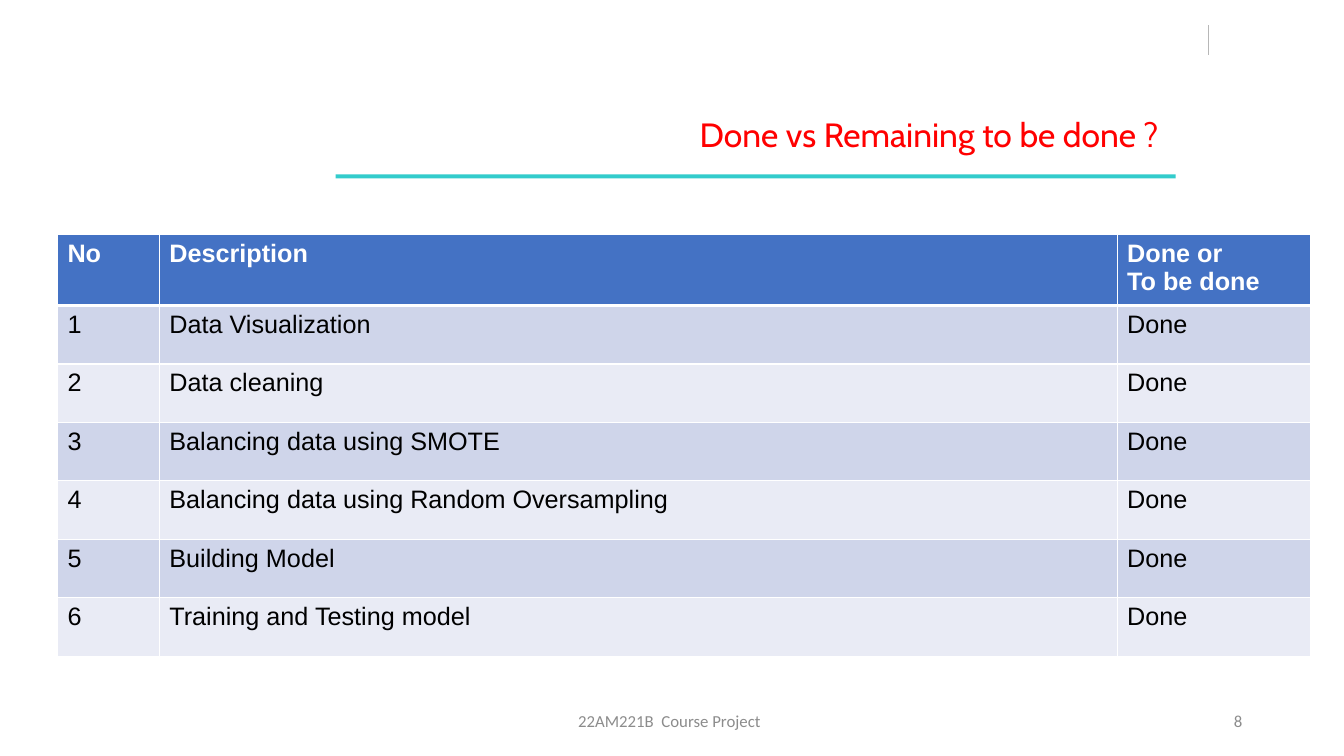
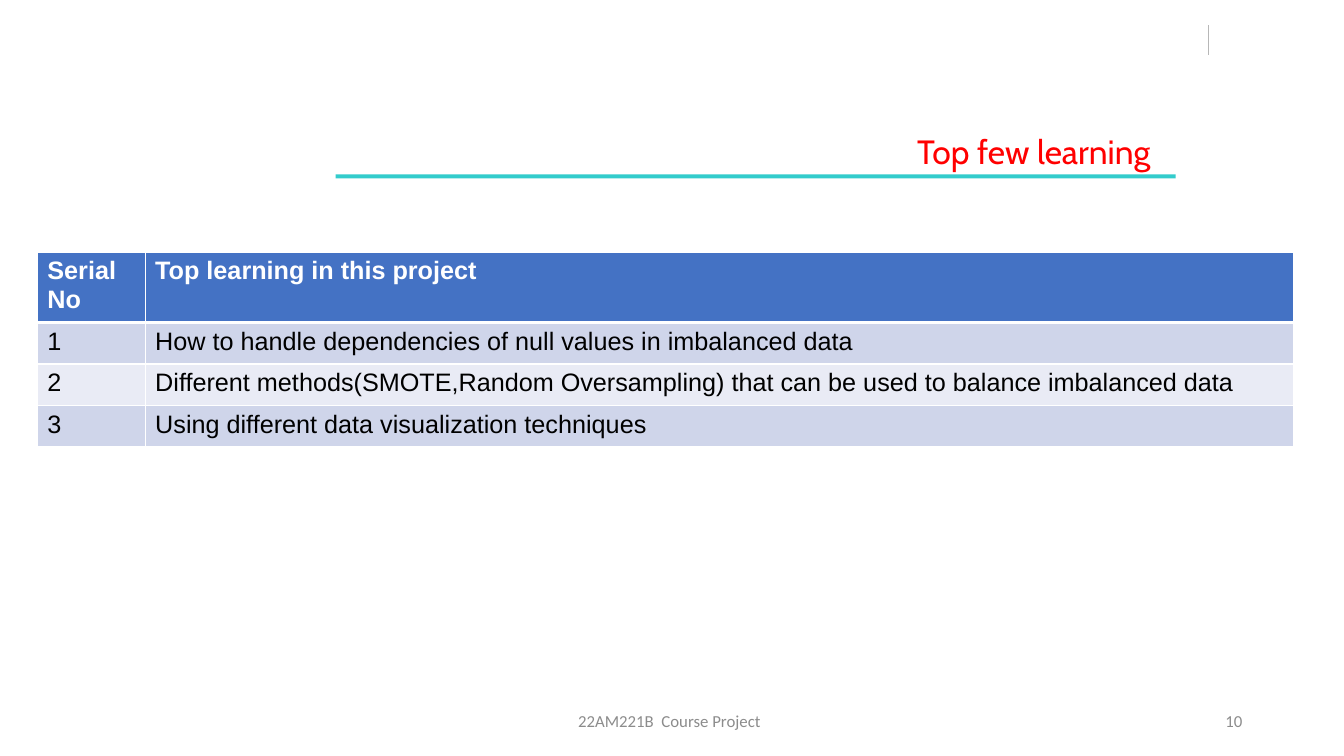
import pptx
import pptx.dml.color
import pptx.enum.shapes
import pptx.enum.text
import pptx.oxml.ns
import pptx.util
from lxml import etree

PX = 9144  # EMU per px, 100 px to the inch
COLORS = {
    "title": "FF0000",
    "accent": "33CCCC",
    "tick": "B7B7B7",
    "footer": "8C8C8C",
    "header": "4472C4",
    "odd_row": "CFD5EA",
    "even_row": "E9EBF5",
    "white": "FFFFFF",
    "black": "000000",
}
ALIGN = pptx.enum.text.PP_ALIGN
ANCHOR = pptx.enum.text.MSO_ANCHOR
HEADER_HEIGHT = 69


def px(*lengths):
    return [pptx.util.Emu(length * PX) for length in lengths]


def rgb(name):
    return pptx.dml.color.RGBColor.from_string(COLORS[name])


def style_paragraphs(text_frame, font_name, size, color, bold=False, align=ALIGN.LEFT):
    for paragraph in text_frame.paragraphs:
        paragraph.alignment = align
        paragraph.font.name = font_name
        paragraph.font.size = pptx.util.Pt(size)
        paragraph.font.bold = bold
        paragraph.font.color.rgb = rgb(color)


def add_text(slide, box, text, font_name, size, color, align, anchor=ANCHOR.TOP):
    text_frame = slide.shapes.add_textbox(*px(*box)).text_frame
    text_frame.word_wrap = True
    text_frame.vertical_anchor = anchor
    text_frame.text = text
    style_paragraphs(text_frame, font_name, size, color, align=align)
    return text_frame


def add_tick(slide):
    """Draw the short vertical line at the top right."""
    line = slide.shapes.add_connector(
        pptx.enum.shapes.MSO_CONNECTOR.STRAIGHT, *px(1199, 25, 1199, 55))
    line.line.color.rgb = rgb("tick")
    line.line.width = pptx.util.Pt(0.75)
    properties = line._element.spPr
    etree.SubElement(properties, pptx.oxml.ns.qn("a:effectLst"))


def add_title_bar(slide):
    bar = slide.shapes.add_shape(
        pptx.enum.shapes.MSO_SHAPE.RECTANGLE, *px(333, 173, 833, 4))
    bar.shadow.inherit = False
    bar.fill.solid()
    bar.fill.fore_color.rgb = rgb("accent")
    bar.line.fill.background()


def add_title(slide, text, top, right):
    left = 317
    text_frame = add_text(slide, (left, top, right - left, 50), text,
                          "Cabin", 24, "title", ALIGN.RIGHT)
    text_frame.margin_right = px(26)[0]


def add_footer(slide, number):
    for box, text, align in (
        ((439, 695, 450, 40), "22AM221B  Course Project", ALIGN.CENTER),
        ((942, 695, 300, 40), str(number), ALIGN.RIGHT),
    ):
        add_text(slide, box, text, "Calibri", 12, "footer", align, ANCHOR.MIDDLE)


def set_borders(cell, bottom_width):
    """Put white borders before the fill, as the cell schema requires."""
    properties = cell._tc.get_or_add_tcPr()
    widths = {"lnL": 1, "lnR": 1, "lnT": 1, "lnB": bottom_width}
    for position, (tag, width) in enumerate(widths.items()):
        border = etree.Element(pptx.oxml.ns.qn(f"a:{tag}"), w=str(pptx.util.Pt(width)))
        fill = etree.SubElement(border, pptx.oxml.ns.qn("a:solidFill"))
        etree.SubElement(fill, pptx.oxml.ns.qn("a:srgbClr"), val=COLORS["white"])
        properties.insert(position, border)


def add_table(slide, left, top, column_widths, row_height, rows):
    heights = [HEADER_HEIGHT] + [row_height] * (len(rows) - 1)
    table = slide.shapes.add_table(
        len(rows), len(column_widths),
        *px(left, top, sum(column_widths), sum(heights))).table
    for column, width in zip(table.columns, px(*column_widths)):
        column.width = width
    for row, height in zip(table.rows, px(*heights)):
        row.height = height
    for row_index, values in enumerate(rows):
        is_header = row_index == 0
        band = "header" if is_header else "odd_row" if row_index % 2 else "even_row"
        for column_index, value in enumerate(values):
            cell = table.cell(row_index, column_index)
            cell.text = value
            style_paragraphs(cell.text_frame, "Arial", 18,
                             "white" if is_header else "black", bold=is_header)
            cell.fill.solid()
            cell.fill.fore_color.rgb = rgb(band)
            set_borders(cell, 3 if is_header or row_index == 0 else 1)
            if row_index == 1:
                top_border = cell._tc.tcPr.find(pptx.oxml.ns.qn("a:lnT"))
                top_border.set("w", str(pptx.util.Pt(3)))


def add_slide(presentation, number, title, title_top, title_right):
    """Add a slide with the tick, title, bar and footer that all slides share."""
    slide = presentation.slides.add_slide(presentation.slide_layouts[6])
    add_tick(slide)
    add_title_bar(slide)
    add_title(slide, title, title_top, title_right)
    add_footer(slide, number)
    return slide


def main():
    presentation = pptx.Presentation()
    presentation.slide_width, presentation.slide_height = px(1333, 750)

    tasks = [
        "Data Visualization",
        "Data cleaning",
        "Balancing data using SMOTE",
        "Balancing data using Random Oversampling",
        "Building Model",
        "Training and Testing model",
    ]
    progress = add_slide(presentation, 8, "Done vs Remaining to be done ?", 108, 1175)
    add_table(progress, 57, 233, (101, 950, 192), 58,
              [("No", "Description", "Done or\nTo be done")]
              + [(str(number), task, "Done") for number, task in enumerate(tasks, 1)])

    lessons = [
        "How to handle dependencies of null values in imbalanced data",
        "Different methods(SMOTE,Random Oversampling) that can be used to balance imbalanced data",
        "Using different data visualization techniques",
    ]
    learning = add_slide(presentation, 10, "Top few learning", 125, 1167)
    add_table(learning, 37, 250, (107, 1139), 41,
              [("Serial\nNo", "Top learning in this project")]
              + [(str(number), lesson) for number, lesson in enumerate(lessons, 1)])

    presentation.save("out.pptx")


if __name__ == "__main__":
    main()
